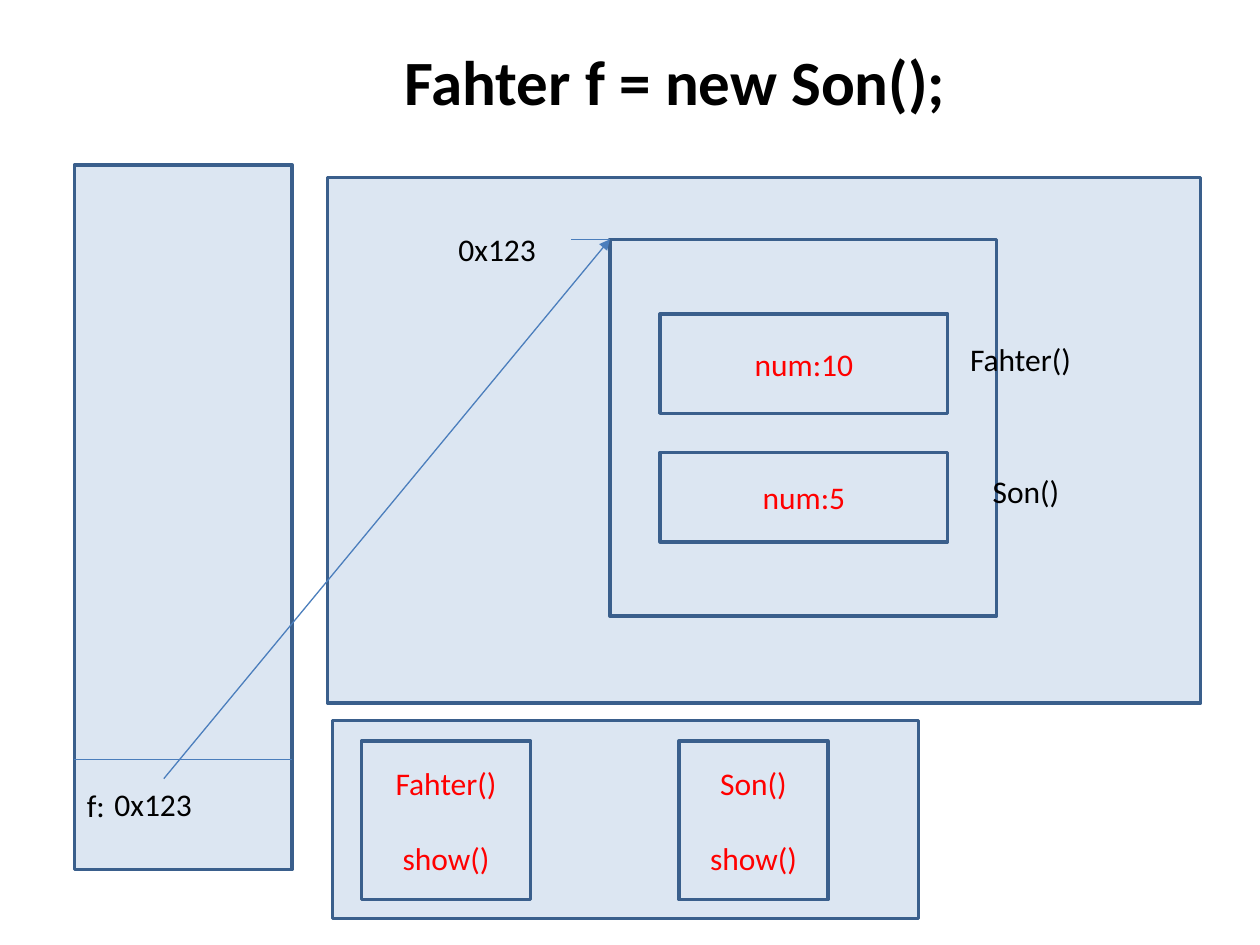
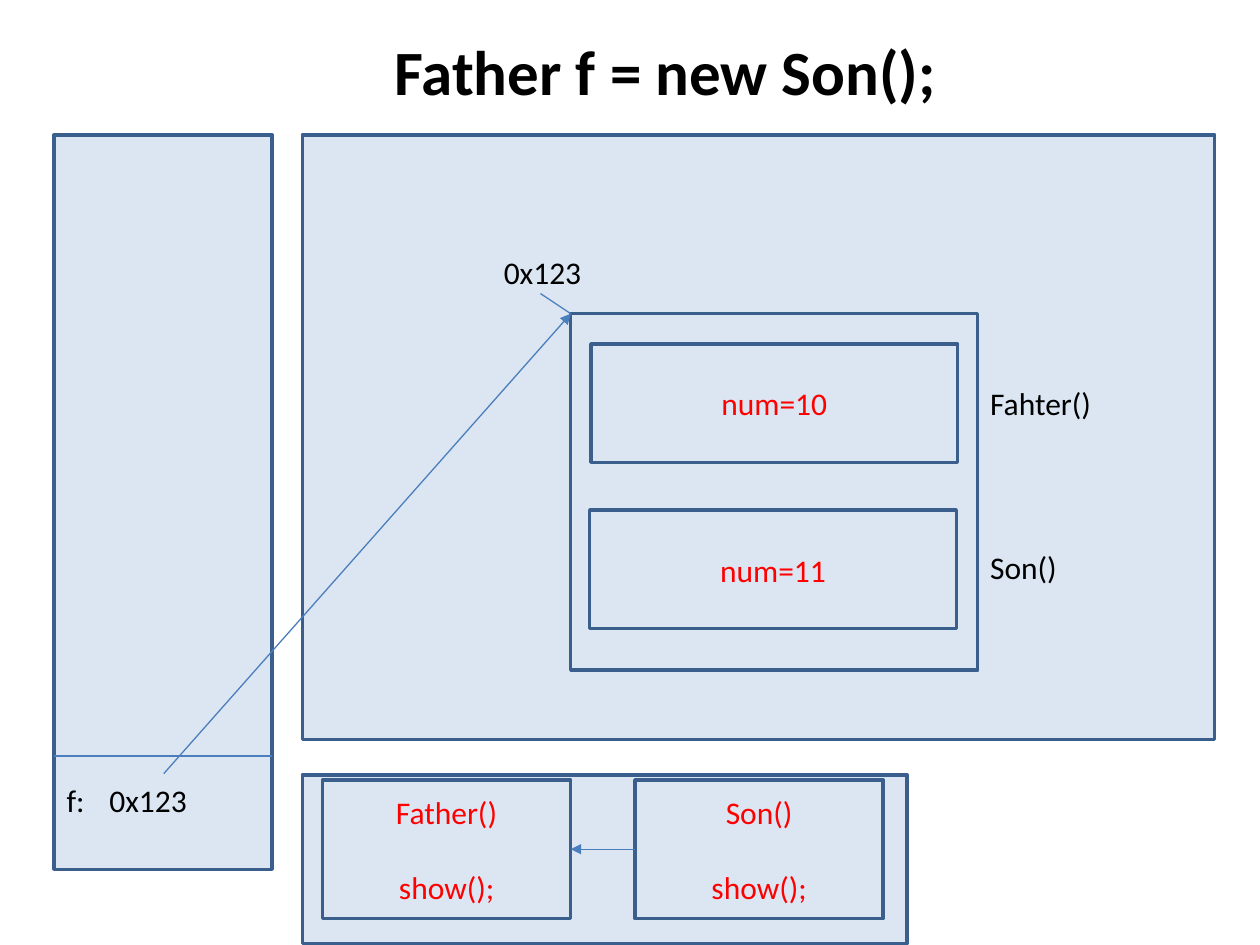
import pptx
import pptx.dml.color
import pptx.enum.shapes
import pptx.enum.text
import pptx.oxml
import pptx.oxml.ns
import pptx.util
from pptx.util import Inches

COLORS = {"fill": "DCE6F2", "border": "3A5F8C", "line": "4B7EBC",
          "text": "000000", "member": "FF0000"}
FONT = "Calibri"
LABEL_HEIGHT = 0.4

# Areas are left, top, width, height; labels are left, top, width (inches)
DIAGRAMS = [
    {
        "title": ("Fahter f = new Son();", (3.11, 0.29, 6.6, 0.71)),
        "stack": (0.59, 1.31, 1.73, 5.59),
        "heap": (2.6, 1.41, 6.93, 4.17),
        "method_area": (2.64, 5.72, 4.65, 1.57),
        "classes": [
            (["Fahter()", "show()"], (2.87, 5.88, 1.34, 1.26)),
            (["Son()", "show()"], (5.39, 5.88, 1.18, 1.26)),
        ],
        "inherits": False,
        "object": (4.84, 1.9, 3.07, 2.99),
        "fields": [
            ("num:10", (5.24, 2.49, 2.28, 0.79)),
            ("num:5", (5.24, 3.59, 2.28, 0.71)),
        ],
        "labels": [
            ("f:", (0.59, 6.19, 2.05)),
            ("0x123", (0.81, 6.18, 0.98)),
            ("0x123", (3.54, 1.78, 0.98)),
            ("Fahter()", (7.6, 2.65, 2.28)),
            ("Son()", (7.78, 3.7, 1.42)),
        ],
        "divider_y": 6.03,
        "address_tick": (4.53, 1.9),
        "reference_start": (1.3, 6.18),
    },
    {
        "title": ("Father f = new Son();", (3.03, 0.21, 6.61, 0.71)),
        "stack": (0.43, 1.07, 1.73, 5.83),
        "heap": (2.4, 1.07, 7.24, 4.8),
        "method_area": (2.4, 6.15, 4.8, 1.34),
        "classes": [
            (["Father()", "show();"], (2.56, 6.19, 1.97, 1.1)),
            (["Son()", "show();"], (5.04, 6.19, 1.97, 1.1)),
        ],
        "inherits": True,
        "object": (4.53, 2.49, 3.23, 2.83),
        "fields": [
            ("num=10", (4.69, 2.73, 2.91, 0.94)),
            ("num=11", (4.68, 4.05, 2.91, 0.94)),
        ],
        "labels": [
            ("f:", (0.43, 6.15, 1.97)),
            ("0x123", (0.77, 6.15, 1.26)),
            ("0x123", (3.9, 1.96, 1.26)),
            ("Fahter()", (7.76, 3.0, 1.65)),
            ("Son()", (7.76, 4.3, 1.34)),
        ],
        "divider_y": 6.0,
        "address_tick": (4.29, 2.33),
        "reference_start": (1.3, 6.14),
    },
]


def color(name):
    return pptx.dml.color.RGBColor.from_string(COLORS[name])


def write(shape, lines, size=18, bold=False, ink="text", centered=False, gap=0):
    frame = shape.text_frame
    frame.word_wrap = True
    frame.auto_size = pptx.enum.text.MSO_AUTO_SIZE.NONE
    anchors = pptx.enum.text.MSO_ANCHOR
    frame.vertical_anchor = anchors.MIDDLE if centered else anchors.TOP
    alignments = pptx.enum.text.PP_ALIGN
    for number, line in enumerate(lines):
        paragraph = frame.add_paragraph() if number else frame.paragraphs[0]
        paragraph.alignment = alignments.CENTER if centered else alignments.LEFT
        paragraph.space_before = pptx.util.Pt(gap if number else 0)
        run = paragraph.add_run()
        run.text = line
        run.font.name = FONT
        run.font.size = pptx.util.Pt(size)
        run.font.bold = bold
        run.font.color.rgb = color(ink)


def add_box(slide, area, lines=()):
    box = slide.shapes.add_shape(pptx.enum.shapes.MSO_SHAPE.RECTANGLE,
                                 *map(Inches, area))
    box.shadow.inherit = False
    box.fill.solid()
    box.fill.fore_color.rgb = color("fill")
    box.line.color.rgb = color("border")
    box.line.width = pptx.util.Pt(2)
    write(box, lines, ink="member", centered=True, gap=21.5)


def add_line(slide, start, end, arrow=False):
    line = slide.shapes.add_connector(pptx.enum.shapes.MSO_CONNECTOR.STRAIGHT,
                                      *map(Inches, (*start, *end)))
    line.line.color.rgb = color("line")
    line.line.width = pptx.util.Pt(0.75)
    properties = line._element.spPr
    if arrow:
        head = pptx.oxml.parse_xml(
            f'<a:tailEnd {pptx.oxml.ns.nsdecls("a")} type="triangle"/>')
        properties.find(pptx.oxml.ns.qn("a:ln")).append(head)
    properties.append(pptx.oxml.parse_xml(
        f'<a:effectLst {pptx.oxml.ns.nsdecls("a")}/>'))


def add_diagram(deck, diagram):
    slide = deck.slides.add_slide(deck.slide_layouts[5])

    # Title
    heading, area = diagram["title"]
    title = slide.shapes.title
    title.left, title.top, title.width, title.height = map(Inches, area)
    write(title, [heading], size=36, bold=True)

    # Memory areas, then the classes, the object and its fields
    for region in ("stack", "heap", "method_area"):
        add_box(slide, diagram[region])
    for members, area in diagram["classes"]:
        add_box(slide, area, members)
    add_box(slide, diagram["object"])
    for field, area in diagram["fields"]:
        add_box(slide, area, [field])

    # Labels
    for words, place in diagram["labels"]:
        label = slide.shapes.add_textbox(*map(Inches, (*place, LABEL_HEIGHT)))
        write(label, [words])

    # Stack frame divider, address tick and reference to the object
    left, _, width, _ = diagram["stack"]
    divider_y = diagram["divider_y"]
    add_line(slide, (left, divider_y), (left + width, divider_y))
    object_corner = diagram["object"][:2]
    add_line(slide, object_corner, diagram["address_tick"])
    add_line(slide, diagram["reference_start"], object_corner, arrow=True)

    # Inheritance arrow from the child class to its parent
    if diagram["inherits"]:
        (_, parent), (_, child) = diagram["classes"]
        middle = child[1] + child[3] / 2
        add_line(slide, (child[0], middle), (parent[0] + parent[2], middle),
                 arrow=True)


def main():
    deck = pptx.Presentation()
    deck.slide_width, deck.slide_height = Inches(10), Inches(7.5)
    for diagram in DIAGRAMS:
        add_diagram(deck, diagram)
    deck.save("out.pptx")


if __name__ == "__main__":
    main()
